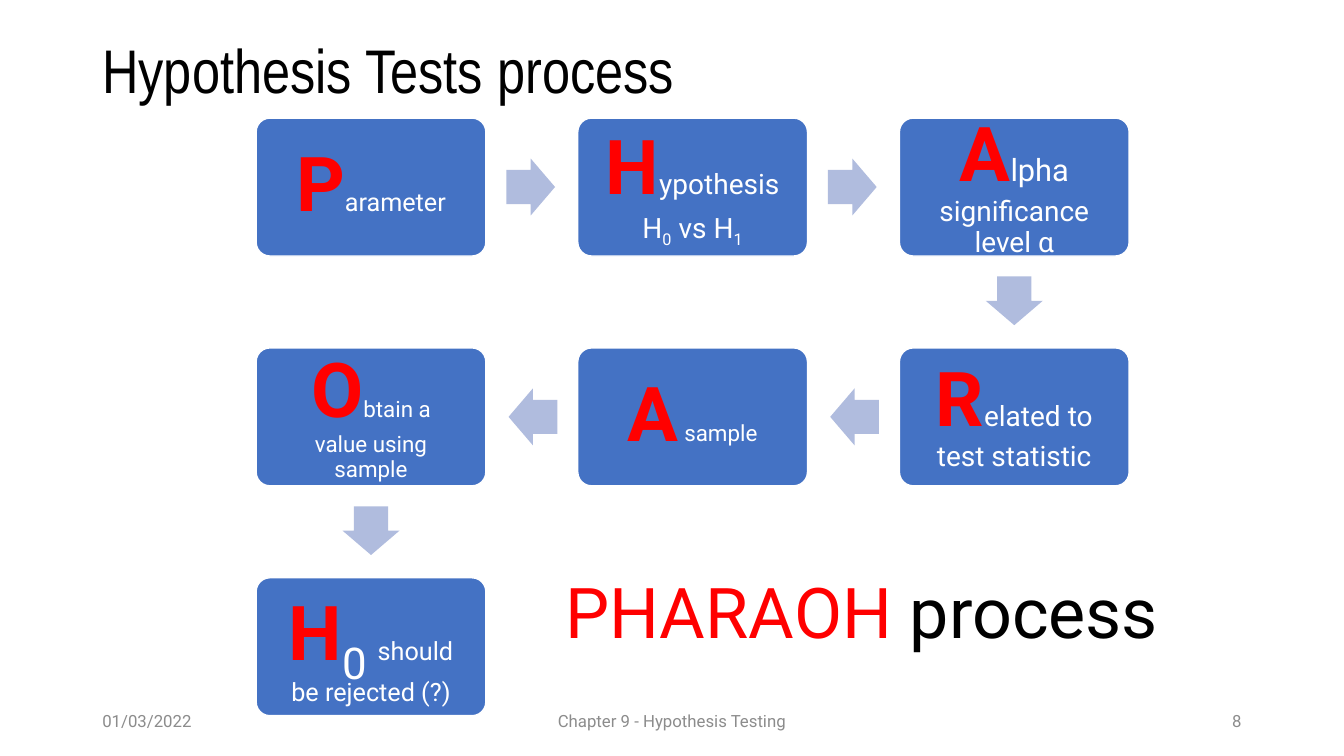
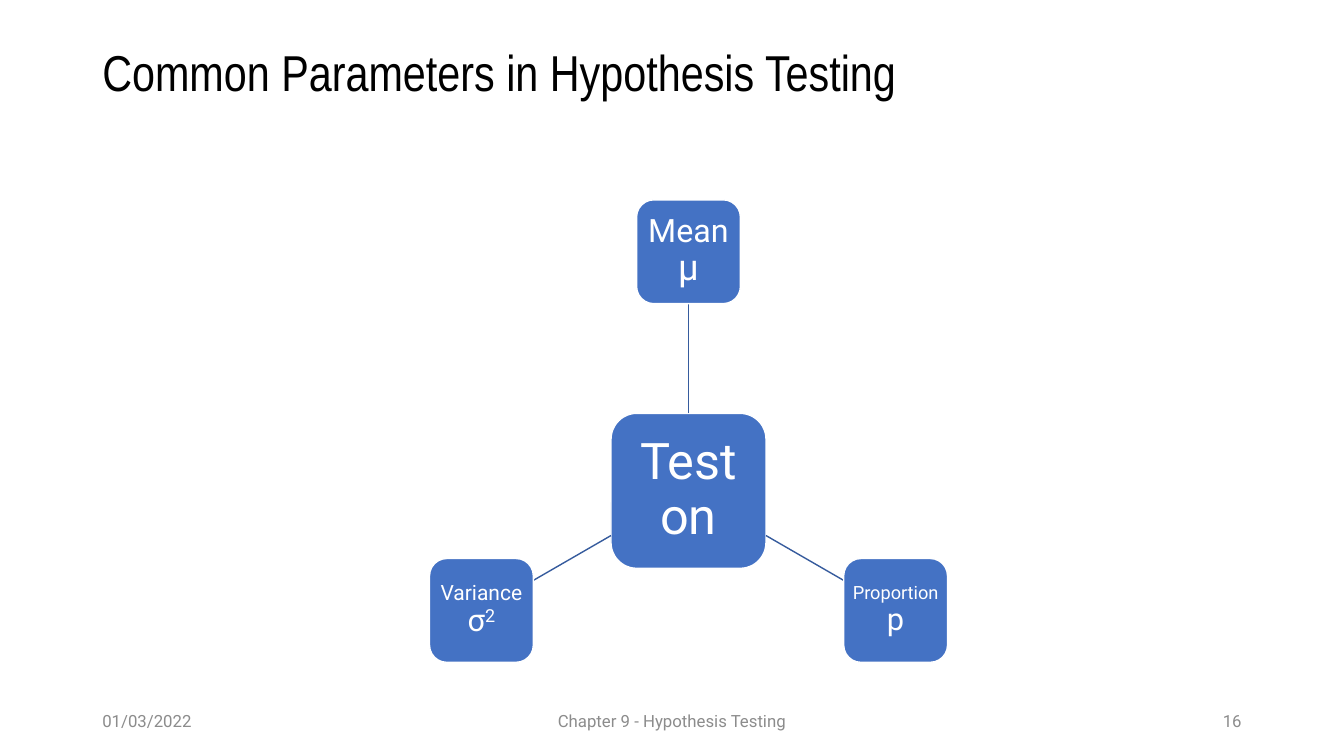
from dataclasses import dataclass
from itertools import pairwise
from math import atan2, cos, degrees, radians, sin

from lxml.etree import SubElement
from pptx import Presentation
from pptx.dml.color import RGBColor as RGB
from pptx.enum.shapes import MSO_CONNECTOR as CONNECTOR, MSO_SHAPE as SHAPE
from pptx.enum.text import MSO_ANCHOR as ANCHOR, PP_ALIGN as ALIGN
from pptx.oxml.ns import qn
from pptx.shapes.autoshape import Shape
from pptx.slide import Slide
from pptx.util import Pt


@dataclass(frozen=True)
class Theme:
    width: float = 960
    height: float = 540
    heading_font: str = "Arial Narrow"
    body_font: str = "Roboto"
    black: str = "000000"
    white: str = "FFFFFF"
    red: str = "FF0000"
    box: str = "4472C4"
    arrow: str = "B0BCDE"
    spoke: str = "365B9D"
    footer: str = "8C8C8C"
    footer_size: float = 12
    initial_size: float = 54
    acronym_size: float = 50
    hub_size: float = 36


T = Theme()


@dataclass(frozen=True)
class Run:
    text: str
    size: float
    color: str = T.white
    bold: bool = False
    base: int = 0


@dataclass(frozen=True)
class Step:
    col: int
    row: int
    initial: str
    rest: tuple[Run, ...]


@dataclass(frozen=True)
class Satellite:
    angle: float
    runs: tuple[Run, ...]


STEPS = (
    Step(0, 0, "P", (Run("arameter", 18),)),
    Step(1, 0, "H", (Run("ypothesis H", 20), Run("0", 20, base=-25),
                     Run(" vs H", 20), Run("1", 20, base=-25))),
    Step(2, 0, "A", (Run("lpha ", 22), Run("significance level α", 20))),
    Step(2, 1, "R", (Run("elated to test statistic", 20),)),
    Step(1, 1, "A", (Run(" sample", 16),)),
    Step(0, 1, "O", (Run("btain a value using sample", 16),)),
    Step(0, 2, "H", (Run("0 ", T.initial_size, base=-25),
                     Run("should be rejected (?)", 18))),
)
SATELLITES = (
    Satellite(-90, (Run("Mean ", 23), Run("μ", 26))),
    Satellite(30, (Run("Proportion ", 13), Run("p", 22))),
    Satellite(150, (Run("Variance ", 15), Run("σ", 22), Run("2", 22, base=30))),
)


def add_run(p, text: str, *, size: float, color: str, font: str = T.body_font,
            bold: bool = False, base: int = 0) -> None:
    r = p.add_run()
    r.text = text
    r.font.name = font
    r.font.size = Pt(size)
    r.font.bold = bold
    r.font.color.rgb = RGB.from_string(color)
    if base:
        r._r.get_or_add_rPr().set("baseline", str(base * 1000))


def add_text(s: Slide, x: float, y: float, w: float, h: float, *runs: Run,
             font: str = T.body_font, align: ALIGN = ALIGN.LEFT,
             anchor: ANCHOR = ANCHOR.MIDDLE, spacing: float = 1.0) -> None:
    tf = s.shapes.add_textbox(Pt(x), Pt(y), Pt(w), Pt(h)).text_frame
    tf.word_wrap = True
    tf.vertical_anchor = anchor
    p = tf.paragraphs[0]
    p.alignment = align
    p.line_spacing = spacing
    for run in runs:
        add_run(p, run.text, size=run.size, color=run.color, font=font)


def add_centred(s: Slide, kind: SHAPE, cx: float, cy: float, w: float, h: float,
                fill: str) -> Shape:
    sp = s.shapes.add_shape(kind, Pt(cx - w / 2), Pt(cy - h / 2), Pt(w), Pt(h))
    sp.shadow.inherit = False
    sp.fill.solid()
    sp.fill.fore_color.rgb = RGB.from_string(fill)
    sp.line.fill.background()
    return sp


def add_box(s: Slide, cx: float, cy: float, w: float, h: float,
            runs: tuple[Run, ...], *, inset: float, corner: float = 0.1667) -> None:
    sp = add_centred(s, SHAPE.ROUNDED_RECTANGLE, cx, cy, w, h, T.box)
    sp.adjustments[0] = corner
    sp.line.color.rgb = RGB.from_string(T.white)
    sp.line.width = Pt(1)
    tf = sp.text_frame
    tf.word_wrap = True
    tf.vertical_anchor = ANCHOR.MIDDLE
    tf.margin_left = tf.margin_right = tf.margin_top = tf.margin_bottom = Pt(inset)
    p = tf.paragraphs[0]
    p.alignment = ALIGN.CENTER
    p.line_spacing = 0.9
    for run in runs:
        add_run(p, run.text, size=run.size, color=run.color, bold=run.bold,
                base=run.base)


def add_spoke(s: Slide, x1: float, y1: float, x2: float, y2: float) -> None:
    line = s.shapes.add_connector(CONNECTOR.STRAIGHT, Pt(x1), Pt(y1), Pt(x2), Pt(y2))
    line.line.color.rgb = RGB.from_string(T.spoke)
    line.line.width = Pt(1)
    SubElement(line._element.spPr, qn("a:effectLst"))


def new_slide(prs, title: str, *, size: float, top: float, page: int) -> Slide:
    s = prs.slides.add_slide(prs.slide_layouts[6])
    add_text(s, 66, top, 828, 104.4, Run(title, size, T.black),
             font=T.heading_font, spacing=0.9)
    for x, w, text, align in (
        (66, 216, "01/03/2022", ALIGN.LEFT),
        (318, 324, "Chapter 9 - Hypothesis Testing", ALIGN.CENTER),
        (678, 216, str(page), ALIGN.RIGHT),
    ):
        add_text(s, x, 500.5, w, 28.75, Run(text, T.footer_size, T.footer), align=align)
    return s


def process_slide(prs) -> None:
    s = new_slide(prs, "Hypothesis Tests process", size=44, top=0, page=8)
    w, h = 164.1, 98.5
    centres = [(265 + step.col * w * 1.4, 133.6 + step.row * h * 5 / 3)
               for step in STEPS]
    for step, (cx, cy) in zip(STEPS, centres):
        initial = Run(step.initial, T.initial_size, T.red, bold=True)
        add_box(s, cx, cy, w, h, (initial, *step.rest),
                inset=0.3 * T.initial_size, corner=0.1)
    for (x1, y1), (x2, y2) in pairwise(centres):
        angle = atan2(y2 - y1, x2 - x1)
        sp = add_centred(s, SHAPE.RIGHT_ARROW, (x1 + x2) / 2 - 0.8 * cos(angle),
                         (y1 + y2) / 2 - 0.8 * sin(angle), 34.8, 40.7, T.arrow)
        sp.adjustments[0], sp.adjustments[1] = 0.6, 0.5
        sp.rotation = degrees(angle)
    add_text(s, 396.7, 402.5, 455, 67.7,
             Run("PHARAOH ", T.acronym_size, T.red),
             Run("process", T.acronym_size, T.black), anchor=ANCHOR.TOP)


def parameters_slide(prs) -> None:
    s = new_slide(prs, "Common Parameters in Hypothesis Testing",
                  size=36, top=1.4, page=16)
    cx, cy, radius, hub = 491.8, 350.6, 170.8, 110.7
    side = 0.67 * hub
    add_box(s, cx, cy, hub, hub, (Run("Test on", T.hub_size),), inset=0.2 * T.hub_size)
    for sat in SATELLITES:
        dx, dy = cos(radians(sat.angle)), sin(radians(sat.angle))
        reach = 2 * max(abs(dx), abs(dy))
        start, end = hub / reach, radius - side / reach
        add_spoke(s, cx + start * dx, cy + start * dy, cx + end * dx, cy + end * dy)
        add_box(s, cx + radius * dx, cy + radius * dy, side, side, sat.runs,
                inset=0.2 * sat.runs[0].size)


def main() -> None:
    prs = Presentation()
    prs.slide_width, prs.slide_height = Pt(T.width), Pt(T.height)
    process_slide(prs)
    parameters_slide(prs)
    prs.save("out.pptx")


if __name__ == "__main__":
    main()
